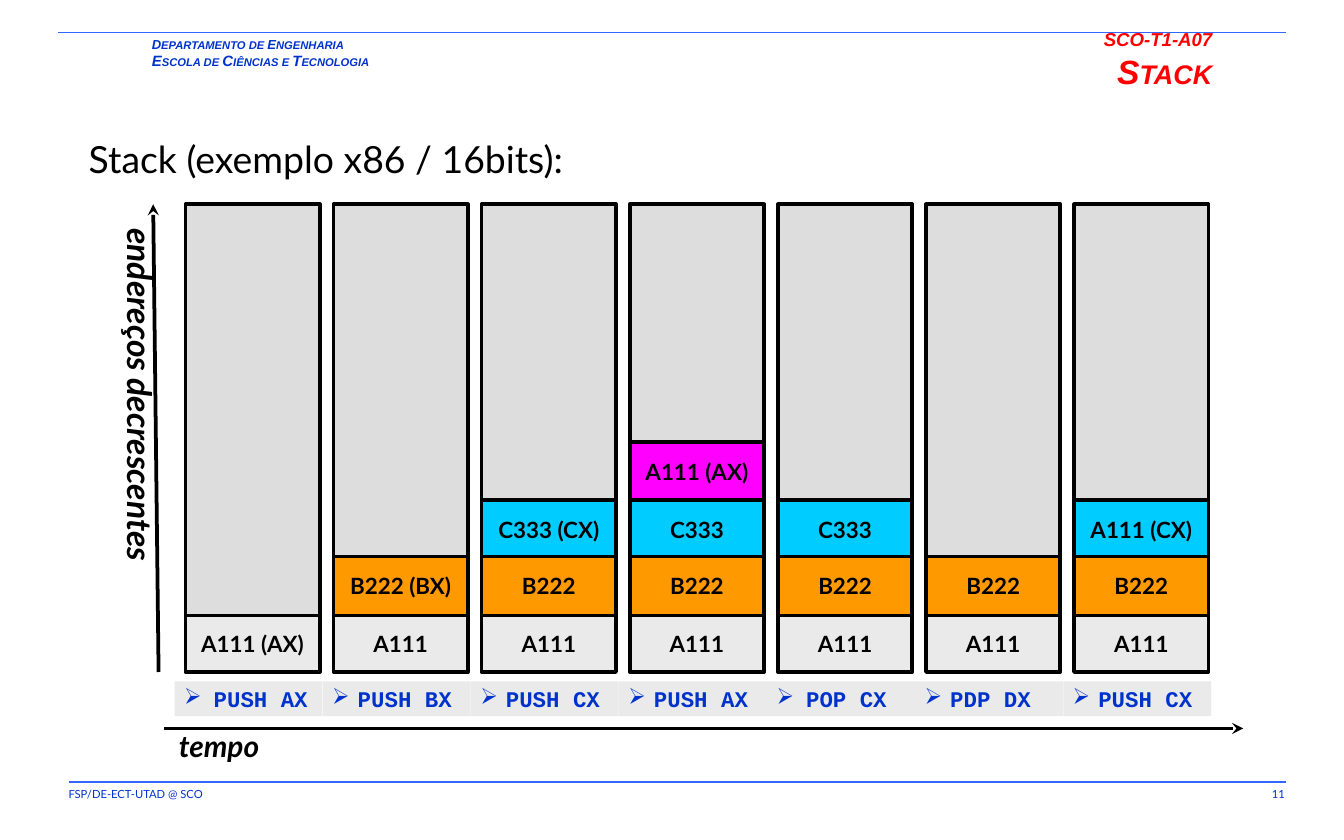
from typing import NamedTuple

import lxml.etree
import pptx
import pptx.dml.color
import pptx.enum.shapes
import pptx.enum.text
import pptx.oxml.ns
import pptx.util

Inches = pptx.util.Inches
ALIGN = pptx.enum.text.PP_ALIGN
ANCHOR = pptx.enum.text.MSO_ANCHOR
BLACK, BLUE, RED, PALE = "000000", "0033CC", "FF0000", "EAEAEA"

# Stack levels from the bottom up: top edge, height, fill
LEVELS = [(4.58, 0.42, PALE), (4.14, 0.44, "FF9900"),
          (3.72, 0.44, "00CCFF"), (3.29, 0.44, "FF00FF")]
LEFT, STEP, TOP = 1.38, 1.102, 1.52


class Font(NamedTuple):
    name: str
    size: float
    color: str
    bold: bool = False
    italic: bool = False


class State(NamedTuple):
    code: str
    cells: list[str]
    indent: float = 0.19


STATES = [
    State("PUSH AX", ["A111 (AX)"], 0.22),
    State("PUSH BX", ["A111", "B222 (BX)"]),
    State("PUSH CX", ["A111", "B222", "C333 (CX)"]),
    State("PUSH AX", ["A111", "B222", "C333", "A111 (AX)"]),
    State("POP CX", ["A111", "B222", "C333"], 0.22),
    State("PDP DX", ["A111", "B222"]),
    State("PUSH CX", ["A111", "B222", "A111 (CX)"]),
]
CELL = Font("Lato", 12, BLACK, True)
CODE = Font("Courier New", 12, BLUE, True)
FOOT = Font("Lato", 6, BLUE)


def rgb(color: str):
    return pptx.dml.color.RGBColor.from_string(color)


def add_tag(parent, tag: str, **attrs: str):
    return lxml.etree.SubElement(parent, pptx.oxml.ns.qn(tag), attrs)


def style(run, font: Font) -> None:
    run.font.name, run.font.size = font.name, pptx.util.Pt(font.size)
    run.font.bold, run.font.italic = font.bold, font.italic
    run.font.color.rgb = rgb(font.color)


def set_frame(frame, x_pad: float, y_pad: float, anchor=ANCHOR.TOP, wrap: bool = True) -> None:
    frame.margin_left = frame.margin_right = Inches(x_pad)
    frame.margin_top = frame.margin_bottom = Inches(y_pad)
    frame.vertical_anchor, frame.word_wrap = anchor, wrap


def write(frame, text: str, font: Font, align=ALIGN.LEFT):
    frame.text = text
    para = frame.paragraphs[0]
    para.alignment = align
    for run in para.runs:
        style(run, font)
    return para


def add_text(slide, box: tuple, text: str, font: Font, align=ALIGN.LEFT,
             pads: tuple = (0.08, 0.04), anchor=ANCHOR.TOP, wrap: bool = True):
    frame = slide.shapes.add_textbox(*map(Inches, box)).text_frame
    set_frame(frame, *pads, anchor, wrap)
    write(frame, text, font, align)
    return frame


def add_rect(slide, box: tuple, fill: str, edge: bool = True):
    rect = slide.shapes.add_shape(pptx.enum.shapes.MSO_SHAPE.RECTANGLE, *map(Inches, box))
    rect.shadow.inherit = False
    rect.fill.solid()
    rect.fill.fore_color.rgb = rgb(fill)
    if edge:
        rect.line.color.rgb = rgb(BLACK)
        rect.line.width = pptx.util.Pt(2)
    else:
        rect.line.fill.background()
    return rect.text_frame


def add_line(slide, ends: tuple, color: str, width: float, arrow: bool = False) -> None:
    line = slide.shapes.add_connector(
        pptx.enum.shapes.MSO_CONNECTOR.STRAIGHT, *map(Inches, ends))
    line.line.color.rgb = rgb(color)
    line.line.width = pptx.util.Pt(width)
    if arrow:
        add_tag(line.line._get_or_add_ln(), "a:tailEnd", type="stealth")
    add_tag(line._element.spPr, "a:effectLst")


def add_cell(slide, x: float, level: int, text: str) -> None:
    top, height, fill = LEVELS[level]
    frame = add_rect(slide, (x, top, 1, height), fill)
    set_frame(frame, 0.05, 0.03, ANCHOR.MIDDLE)
    write(frame, text, CELL, ALIGN.CENTER)


def add_state(slide, x: float, state: State) -> None:
    base, *upper = state.cells
    add_cell(slide, x, 0, base)
    add_rect(slide, (x, TOP, 1, 3.01 if upper else 3.06), "DDDDDD")
    for level in range(len(upper), 0, -1):
        add_cell(slide, x, level, state.cells[level])

    # Instruction with its bullet
    frame = add_rect(slide, (x - 0.08, 5.07, 1.1, 0.26), PALE, edge=False)
    set_frame(frame, 0.07, 0.03, ANCHOR.MIDDLE)
    props = write(frame, state.code, CODE)._p.get_or_add_pPr()
    props.set("marL", str(Inches(state.indent)))
    props.set("indent", str(-Inches(state.indent)))
    add_tag(props, "a:buChar", char="➢")


def add_title(slide) -> None:
    title = slide.shapes.title
    title.left, title.top, title.width, title.height = map(Inches, (3.29, 0.17, 5.81, 0.46))
    frame = title.text_frame
    frame.auto_size = pptx.enum.text.MSO_AUTO_SIZE.NONE
    set_frame(frame, 0.08, 0.04)
    para = write(frame, "SCO-T1-A07\vStack", Font("Arial", 10, RED, True, True), ALIGN.RIGHT)
    name = para.runs[1]
    name.font.size = pptx.util.Pt(18)
    name._r.get_or_add_rPr().set("cap", "small")
    add_tag(para._p.find(pptx.oxml.ns.qn("a:br")), "a:rPr", sz="1000")


def add_header(slide) -> None:
    """Department lines, whose words start with larger capitals."""
    frame = add_text(slide, (1.06, 0.24, 2.6, 0.32), "", FOOT, pads=(0.07, 0.03))
    lines = [(7, ["D", "EPARTAMENTO DE ", "E", "NGENHARIA"]),
             (8, ["E", "SCOLA DE ", "C", "IÊNCIAS E ", "T", "ECNOLOGIA"])]
    for row, (size, parts) in enumerate(lines):
        para = frame.add_paragraph() if row else frame.paragraphs[0]
        for i, part in enumerate(parts):
            run = para.add_run()
            run.text = part
            style(run, Font("Arial", 6 if i % 2 else size, BLUE, True, True))


def main() -> None:
    deck = pptx.Presentation()
    deck.slide_width, deck.slide_height = Inches(10), Inches(6.25)
    slide = deck.slides.add_slide(deck.slide_layouts[5])

    # Header and footer
    add_title(slide)
    add_header(slide)
    add_line(slide, (0.43, 0.24, 9.57, 0.24), "3366FF", 0.75)
    add_line(slide, (0.51, 5.82, 9.57, 5.82), "3366FF", 0.75)
    add_text(slide, (0.43, 5.82, 4.65, 0.2), "FSP/DE-ECT-UTAD @ SCO", FOOT)
    add_text(slide, (8.39, 5.82, 1.25, 0.21), "11", FOOT, ALIGN.RIGHT)

    # Heading
    head = add_text(slide, (0.59, 0.92, 9.21, 0.43), "Stack (exemplo x86 / 16bits):",
                    Font("Lato", 20, BLACK), pads=(0.07, 0.03))
    head.paragraphs[0].line_spacing = 1.2

    # Time axis
    add_line(slide, (1.22, 5.42, 9.25, 5.42), BLACK, 2, arrow=True)
    add_text(slide, (1.18, 5.37, 0.9, 0.36), "tempo", Font("Lato", 16, BLACK, True, True),
             ALIGN.CENTER, (0.09, 0.04), ANCHOR.MIDDLE, wrap=False)

    # Stack after each instruction
    for i, state in enumerate(STATES):
        add_state(slide, LEFT + i * STEP, state)

    # Address axis
    add_line(slide, (1.18, 5, 1.14, TOP), BLACK, 2, arrow=True)
    side = add_text(slide, (0.87, 1.67, 0.35, 3.18), "endereços decrescentes",
                    Font("Lato", 18, BLACK, True, True), ALIGN.CENTER, (0.05, 0.03),
                    ANCHOR.MIDDLE, wrap=False)
    side._txBody.bodyPr.set("vert", "eaVert")

    deck.save("out.pptx")


if __name__ == "__main__":
    main()
